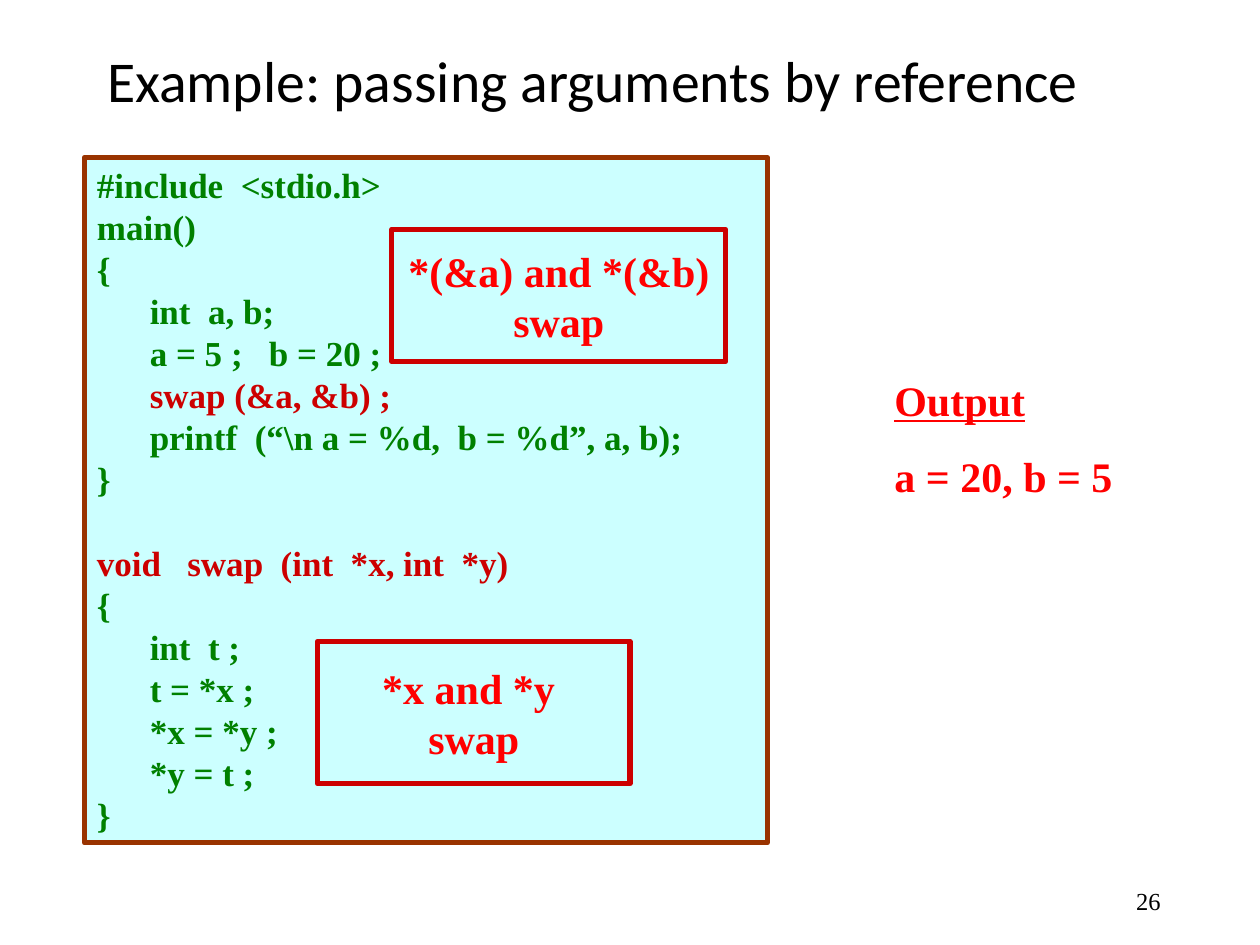
from dataclasses import dataclass

from pptx import Presentation
from pptx.dml.color import RGBColor
from pptx.enum.shapes import MSO_SHAPE as Shape
from pptx.enum.text import MSO_ANCHOR as Anchor, PP_ALIGN as Align
from pptx.util import Inches, Pt


@dataclass(frozen=True)
class Theme:
    """Colours, fonts and type sizes of the slide."""
    black: str = "000000"
    panel: str = "CCFFFF"
    frame: str = "993300"
    code: str = "008000"
    accent: str = "CC0000"
    note: str = "FF0000"
    heading_font: str = "Calibri"
    text_font: str = "Times New Roman"
    title_size: int = 33
    note_size: int = 24
    code_size: int = 20
    number_size: int = 14
    line_width: int = 3


THEME = Theme()
MAIN_CODE = [
    (0, "#include  <stdio.h>", THEME.code),
    (0, "main()", THEME.code),
    (0, "{", THEME.code),
    (1, "int  a, b;", THEME.code),
    (1, "a = 5 ;   b = 20 ;", THEME.code),
    (1, "swap (&a, &b) ;", THEME.accent),
    (1, "printf  (“\\n a = %d,  b = %d”, a, b);", THEME.code),
    (0, "}", THEME.code),
]
SWAP_CODE = [
    (0, "void   swap  (int  *x, int  *y)", THEME.accent),
    (0, "{", THEME.code),
    (1, "int  t ;", THEME.code),
    (1, "t = *x ;", THEME.code),
    (1, "*x = *y ;", THEME.code),
    (1, "*y = t ;", THEME.code),
    (0, "}", THEME.code),
]


def add_run(paragraph, text, size, color, font=THEME.text_font, bold=True):
    """Append a formatted run to a paragraph."""
    run = paragraph.add_run()
    run.text = text
    run.font.name = font
    run.font.size = Pt(size)
    run.font.bold = bold
    run.font.color.rgb = RGBColor.from_string(color)
    return run


def next_paragraph(frame, align=Align.LEFT):
    """Return the unused first paragraph or a new one."""
    first = frame.paragraphs[0]
    paragraph = frame.add_paragraph() if first.runs else first
    paragraph.alignment = align
    return paragraph


def add_panel(slide, box, line_color, anchor, wrap):
    """Add a framed rectangle and return its text frame."""
    shape = slide.shapes.add_shape(Shape.RECTANGLE, *map(Inches, box))
    shape.shadow.inherit = False
    shape.fill.solid()
    shape.fill.fore_color.rgb = RGBColor.from_string(THEME.panel)
    shape.line.color.rgb = RGBColor.from_string(line_color)
    shape.line.width = Pt(THEME.line_width)
    shape.text_frame.vertical_anchor = anchor
    shape.text_frame.word_wrap = wrap
    return shape.text_frame


def add_text_box(slide, box, anchor=Anchor.TOP):
    """Add a wrapping text box and return its text frame."""
    frame = slide.shapes.add_textbox(*map(Inches, box)).text_frame
    frame.word_wrap = True
    frame.vertical_anchor = anchor
    return frame


def add_title(slide, text, box):
    """Place and format the title placeholder."""
    title = slide.shapes.title
    title.left, title.top, title.width, title.height = map(Inches, box)
    title.text_frame.vertical_anchor = Anchor.MIDDLE
    paragraph = next_paragraph(title.text_frame)
    paragraph.line_spacing = 0.9
    add_run(paragraph, text, THEME.title_size, THEME.black, THEME.heading_font, False)


def add_code(slide, box, functions):
    """Add the listing, with a line's gap between functions."""
    frame = add_panel(slide, box, THEME.frame, Anchor.TOP, True)
    for function_index, lines in enumerate(functions):
        for line_index, (level, text, color) in enumerate(lines):
            paragraph = next_paragraph(frame)
            paragraph_properties = paragraph._p.get_or_add_pPr()
            paragraph_properties.set("marL", str(Inches(0.42 * level)))
            if function_index and not line_index:
                paragraph.space_before = Pt(24)
            add_run(paragraph, text, THEME.code_size, color)


def add_callout(slide, box, lines):
    """Add a centred note in a red frame."""
    frame = add_panel(slide, box, THEME.accent, Anchor.MIDDLE, False)
    for text in lines:
        add_run(next_paragraph(frame, Align.CENTER), text, THEME.note_size, THEME.note)


def add_output(slide, box, heading, result):
    """Add the underlined heading and the program's output."""
    frame = add_text_box(slide, box)
    for text in (heading, result):
        paragraph = next_paragraph(frame)
        paragraph.space_before = Pt(15)
        run = add_run(paragraph, text, THEME.note_size, THEME.note)
        run.font.underline = text == heading


def add_page_number(slide, box, number):
    """Add the right-aligned page number."""
    paragraph = next_paragraph(add_text_box(slide, box, Anchor.MIDDLE), Align.RIGHT)
    add_run(paragraph, number, THEME.number_size, THEME.black, bold=False)


def main():
    """Build and save the slide."""
    presentation = Presentation()
    presentation.slide_width, presentation.slide_height = Inches(10), Inches(7.5)
    slide = presentation.slides.add_slide(presentation.slide_layouts[5])
    add_title(slide, "Example: passing arguments by reference", (0.75, 0.33, 8.5, 0.67))
    add_page_number(slide, (7.06, 6.95, 2.25, 0.4), "26")
    add_code(slide, (0.67, 1.25, 5.42, 5.44), (MAIN_CODE, SWAP_CODE))
    add_output(slide, (7, 2.92, 2.5, 1.11), "Output", "a = 20, b = 5")
    add_callout(slide, (2.52, 5.09, 2.48, 1.13), ("*x and *y ", "swap"))
    add_callout(slide, (3.11, 1.82, 2.65, 1.05), ("*(&a) and *(&b)", "swap"))
    presentation.save("out.pptx")


if __name__ == "__main__":
    main()
